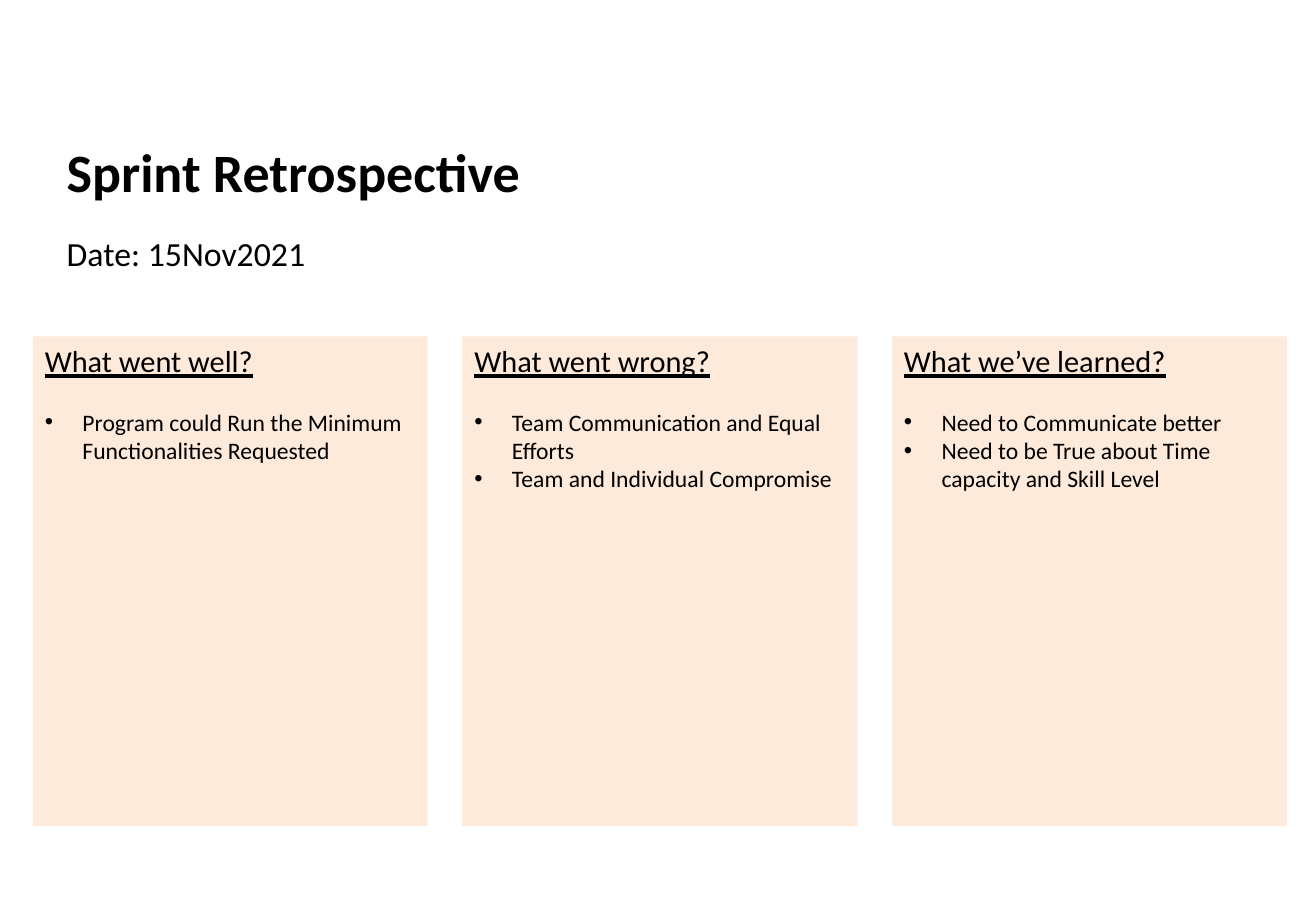
from dataclasses import dataclass

from lxml.etree import SubElement
from pptx import Presentation
from pptx.dml.color import RGBColor
from pptx.enum.shapes import MSO_SHAPE
from pptx.enum.text import MSO_ANCHOR, PP_ALIGN
from pptx.oxml.ns import qn
from pptx.util import Inches, Pt


@dataclass(frozen=True)
class Theme:
    font: str = "Calibri"
    ink: RGBColor = RGBColor(0x00, 0x00, 0x00)
    panel: RGBColor = RGBColor(0xFD, 0xEA, 0xDA)
    title_size: int = 32
    date_size: int = 20
    heading_size: int = 18
    item_size: int = 14


THEME = Theme()

PANEL_LEFT, PANEL_TOP = 0.27, 2.77
PANEL_WIDTH, PANEL_HEIGHT = 3.25, 4.03
PANEL_STEP = 3.535
BULLET_INDENT = Inches(0.31)

PANELS = [
    ("What went well?", ["Program could Run the Minimum Functionalities Requested"]),
    ("What went wrong?", ["Team Communication and Equal Efforts",
                          "Team and Individual Compromise"]),
    ("What we’ve learned?", ["Need to Communicate better",
                             "Need to be True about Time capacity and Skill Level"]),
]


def write(para, text, size, bold=False, underline=False, space_after=0):
    para.alignment = PP_ALIGN.LEFT
    para.space_after = Pt(space_after)
    span = para.add_run()
    span.text = text
    span.font.name = THEME.font
    span.font.size = Pt(size)
    span.font.color.rgb = THEME.ink
    span.font.bold = bold
    span.font.underline = underline


def add_bullet(para):
    properties = para._p.get_or_add_pPr()
    properties.set("marL", str(BULLET_INDENT))
    properties.set("indent", str(-BULLET_INDENT))
    SubElement(properties, qn("a:buFont")).set("typeface", "Arial")
    SubElement(properties, qn("a:buChar")).set("char", "•")


def add_text_line(page, text, top, height, **text_format):
    box = page.shapes.add_textbox(Inches(0.45), Inches(top), Inches(9.89), Inches(height))
    box.text_frame.word_wrap = True
    write(box.text_frame.paragraphs[0], text, **text_format)


def add_panel(page, left, heading, items):
    panel = page.shapes.add_shape(MSO_SHAPE.RECTANGLE, Inches(left), Inches(PANEL_TOP),
                                  Inches(PANEL_WIDTH), Inches(PANEL_HEIGHT))
    panel.shadow.inherit = False
    panel.fill.solid()
    panel.fill.fore_color.rgb = THEME.panel
    panel.line.fill.background()
    frame = panel.text_frame
    frame.word_wrap = True
    frame.vertical_anchor = MSO_ANCHOR.TOP
    write(frame.paragraphs[0], heading, THEME.heading_size, underline=True, space_after=17)
    for item in items:
        para = frame.add_paragraph()
        write(para, item, THEME.item_size)
        add_bullet(para)


def main():
    deck = Presentation()
    deck.slide_width, deck.slide_height = Inches(10.83), Inches(7.5)
    page = deck.slides.add_slide(deck.slide_layouts[6])
    add_text_line(page, "Sprint Retrospective", 1.09, 0.63, size=THEME.title_size, bold=True)
    add_text_line(page, "Date: 15Nov2021", 1.87, 0.5, size=THEME.date_size, space_after=4)
    for index, (heading, items) in enumerate(PANELS):
        add_panel(page, PANEL_LEFT + index * PANEL_STEP, heading, items)
    deck.save("out.pptx")


if __name__ == "__main__":
    main()
